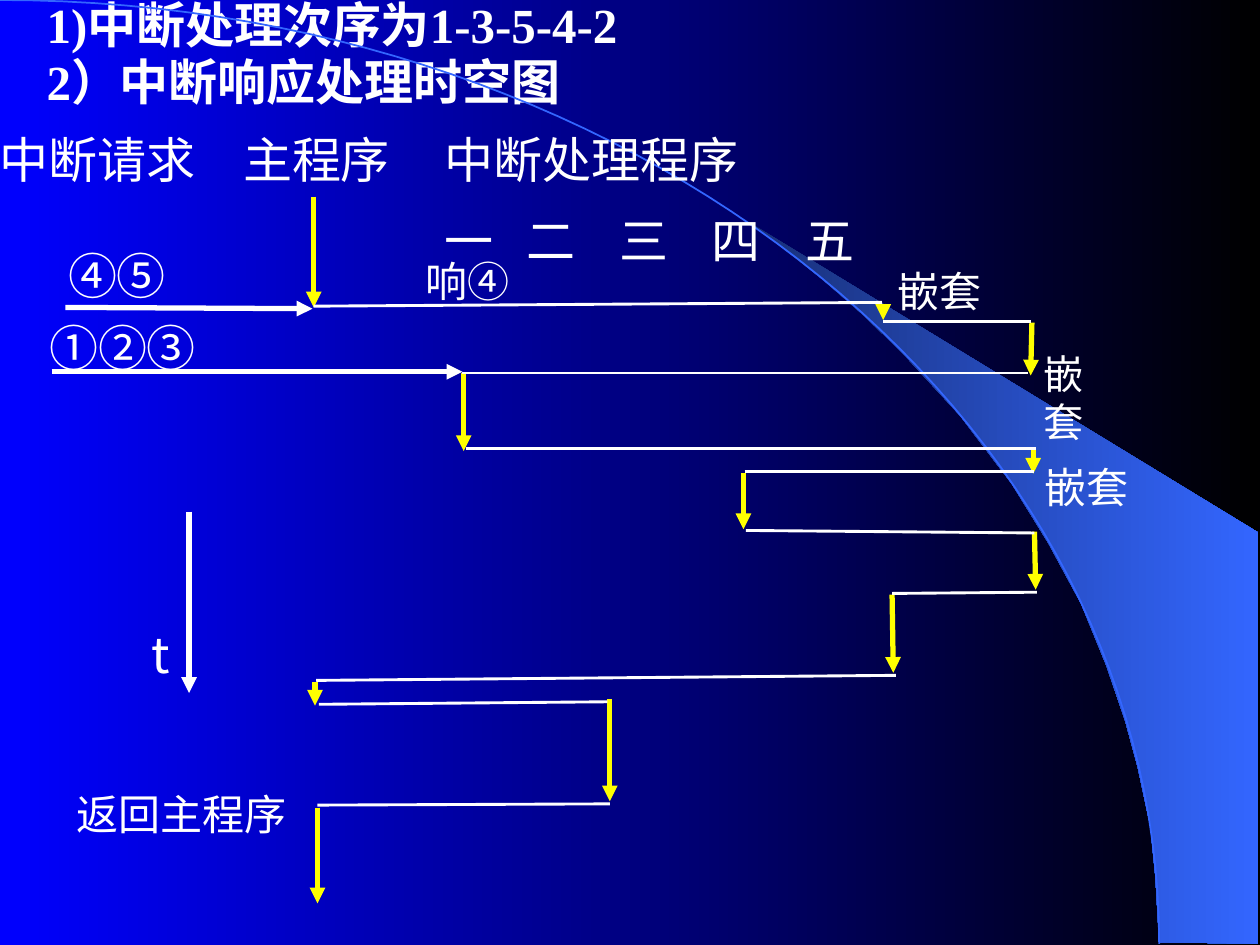
from lxml.etree import SubElement
from pptx import Presentation
from pptx.dml.color import RGBColor
from pptx.enum.shapes import MSO_CONNECTOR
from pptx.enum.text import MSO_ANCHOR, MSO_AUTO_SIZE, PP_ALIGN
from pptx.oxml.ns import qn
from pptx.util import Inches, Pt

CJK_FONT, LATIN_FONT = "Noto Sans CJK SC", "Times New Roman"
WHITE, YELLOW, BLUE = "FFFFFF", "FFFF00", "3366FF"

HEADINGS = ["1)中断处理次序为1-3-5-4-2", "2）中断响应处理时空图"]
LABELS = [
    ("中断请求", 0, 1.03, 1.56, 28),
    ("④⑤", 0.54, 1.95, 0.78, 28),
    ("响④", 3.38, 2.03, 0.67, 24),
    ("t", 1.2, 4.96, 0.19, 28),
    ("嵌套", 7.12, 2.11, 0.67, 24),
    ("①②③", 0.39, 2.52, 1.17, 28),
    ("嵌套", 8.29, 3.66, 0.67, 24),
    ("返回主程序", 0.61, 6.26, 1.67, 24),
]
NARROW_LABEL = ("嵌套", 8.28, 2.77, 0.4, 23)
TABBED_LABELS = [
    (("主程序", "中断处理程序"), 1.93, 1.03, 4.67, [1.6]),
    (("一", "二", "三", "四", "五"), 3.53, 1.67, 5.19, [0.65, 1.39, 2.12, 2.86]),
]
REQUEST_ARROWS = [
    (1.5, 4.06, 1.5, 5.5), (0.52, 2.44, 2.48, 2.45), (0.41, 2.95, 3.67, 2.95),
]
RUN_ARROWS = [
    (2.49, 1.56, 2.49, 2.44), (7.01, 2.41, 7.01, 2.54), (8.19, 2.56, 8.18, 2.98),
    (3.68, 2.96, 3.68, 3.58), (8.2, 3.56, 8.2, 3.76), (5.9, 3.75, 5.9, 4.2),
    (8.21, 4.22, 8.22, 4.68), (7.08, 4.72, 7.09, 5.34), (2.5, 5.41, 2.5, 5.6),
    (4.84, 5.55, 4.84, 6.36), (2.52, 6.41, 2.52, 7.17),
]
SWITCH_LINES = [
    (2.49, 2.43, 7, 2.4), (7.01, 2.55, 8.18, 2.55), (3.67, 2.96, 8.16, 2.96),
    (8.22, 3.56, 3.7, 3.56), (5.91, 3.74, 8.21, 3.74), (5.92, 4.21, 8.21, 4.23),
    (7.08, 4.71, 8.23, 4.7), (2.51, 5.4, 7.11, 5.36), (2.53, 5.59, 4.82, 5.57),
    (2.52, 6.39, 4.84, 6.38),
]
CRESCENT = [
    (9.2, 7.48), (9.99, 7.49), (9.99, 4.23), (5.89, 1.73), (6.24, 1.99),
    (6.53, 2.22), (6.85, 2.5), (7.16, 2.8), (7.62, 3.3), (8.03, 3.84),
    (8.32, 4.31), (8.58, 4.79), (8.78, 5.28), (8.93, 5.72), (9.03, 6.09),
    (9.13, 6.56), (9.17, 6.96),
]
ARC_CONTROLS = [(0, 0), (5.08, 0), (9.2, 3.35), (9.2, 7.49)]
ARC_STEPS = 60


def color(value):
    """Turn a hex string into a colour."""
    return RGBColor.from_string(value)


def set_gradient(fill, start, end):
    """Apply a left-to-right gradient of two colours."""
    fill.gradient()
    fill.gradient_angle = 0
    for stop, value, position in zip(fill.gradient_stops, (start, end), (0, 1)):
        stop.color.rgb = color(value)
        stop.position = position


def format_runs(paragraph, size, font=CJK_FONT, bold=False):
    """Format every run of a paragraph in white."""
    for run in paragraph.runs:
        run.font.size = Pt(size)
        run.font.name = font
        run.font.bold = bold
        run.font.color.rgb = color(WHITE)
        SubElement(run.font._element, qn("a:ea")).set("typeface", CJK_FONT)


def add_label(slide, text, left, top, width, size, wrap=False, tabs=()):
    """Add a text box without margins, with optional tab stops."""
    height = size / 60
    box = slide.shapes.add_textbox(*map(Inches, (left, top, width, height)))
    frame = box.text_frame
    frame.margin_left = frame.margin_right = frame.margin_top = frame.margin_bottom = 0
    frame.word_wrap = wrap
    frame.text = text
    paragraph = frame.paragraphs[0]
    if tabs:
        stops = SubElement(paragraph._p.get_or_add_pPr(), qn("a:tabLst"))
        for position in tabs:
            stop = SubElement(stops, qn("a:tab"))
            stop.set("pos", str(Inches(position)))
            stop.set("algn", "l")
    format_runs(paragraph, size)


def add_line(slide, ends, value, width, arrow):
    """Add a straight line, with an arrowhead at its end if wanted."""
    line = slide.shapes.add_connector(MSO_CONNECTOR.STRAIGHT, *map(Inches, ends))
    line.line.color.rgb = color(value)
    line.line.width = Pt(width)
    if arrow:
        SubElement(line.line._get_or_add_ln(), qn("a:tailEnd")).set("type", "triangle")
    SubElement(line._element.spPr, qn("a:effectLst"))


def add_outline(slide, points, close):
    """Add a freeform through points given in inches."""
    corners = [(Inches(x), Inches(y)) for x, y in points]
    builder = slide.shapes.build_freeform(*corners[0])
    builder.add_line_segments(corners[1:], close=close)
    shape = builder.convert_to_shape()
    shape.shadow.inherit = False
    return shape


def curve_point(t):
    """Return the point of the background arc at parameter t."""
    weights = ((1 - t) ** 3, 3 * t * (1 - t) ** 2, 3 * t * t * (1 - t), t ** 3)
    return tuple(sum(w * c for w, c in zip(weights, axis)) for axis in zip(*ARC_CONTROLS))


def add_background(slide):
    """Draw the gradient, the crescent and the arc."""
    set_gradient(slide.background.fill, "0000FF", "000000")
    crescent = add_outline(slide, CRESCENT, True)
    set_gradient(crescent.fill, "182F76", BLUE)
    crescent.line.fill.background()
    arc = add_outline(slide, [curve_point(i / ARC_STEPS) for i in range(ARC_STEPS + 1)], False)
    arc.fill.background()
    arc.line.color.rgb = color(BLUE)
    arc.line.width = Pt(1)


def add_headings(slide):
    """Place and format the heading placeholder."""
    title = slide.shapes.title
    title.left, title.top, title.width, title.height = map(Inches, (0.27, 0, 9.73, 0.99))
    frame = title.text_frame
    frame.text = "\n".join(HEADINGS)
    frame.auto_size = MSO_AUTO_SIZE.NONE
    frame.vertical_anchor = MSO_ANCHOR.TOP
    frame.margin_top = Inches(0.05)
    for index, paragraph in enumerate(frame.paragraphs):
        paragraph.alignment = PP_ALIGN.JUSTIFY
        paragraph.line_spacing = 0.8
        paragraph.space_before = Pt(5.6 if index else 0)
        format_runs(paragraph, 28, LATIN_FONT, True)


def main():
    """Build and save the slide."""
    presentation = Presentation()
    presentation.slide_width, presentation.slide_height = Inches(10), Inches(7.5)
    slide = presentation.slides.add_slide(presentation.slide_layouts[5])
    add_background(slide)
    add_headings(slide)
    for label in LABELS:
        add_label(slide, *label)
    add_label(slide, *NARROW_LABEL, wrap=True)
    for words, left, top, width, tabs in TABBED_LABELS:
        add_label(slide, "\t".join(words), left, top, width, 28, True, tabs)
    for group, value, width, arrow in (
        (REQUEST_ARROWS, WHITE, 3, True),
        (RUN_ARROWS, YELLOW, 3, True),
        (SWITCH_LINES, WHITE, 1.63, False),
    ):
        for ends in group:
            add_line(slide, ends, value, width, arrow)
    presentation.save("out.pptx")


if __name__ == "__main__":
    main()
